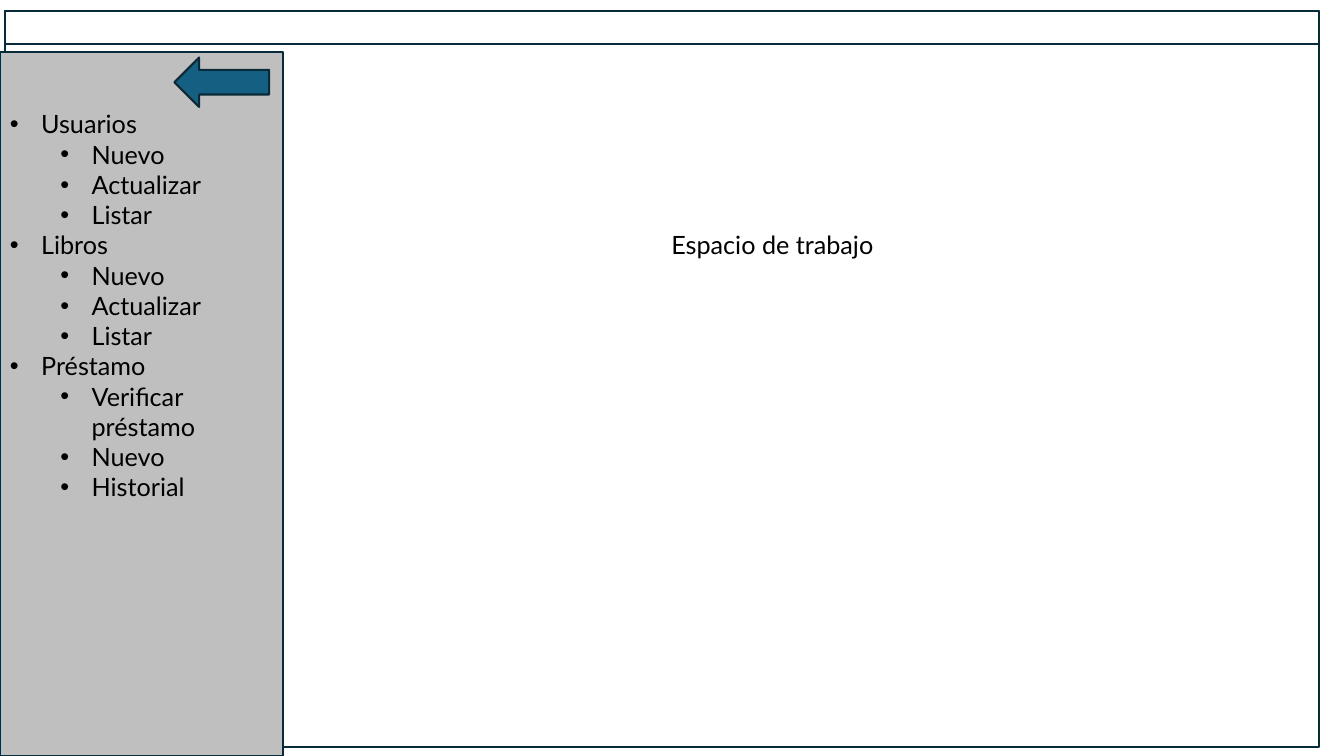
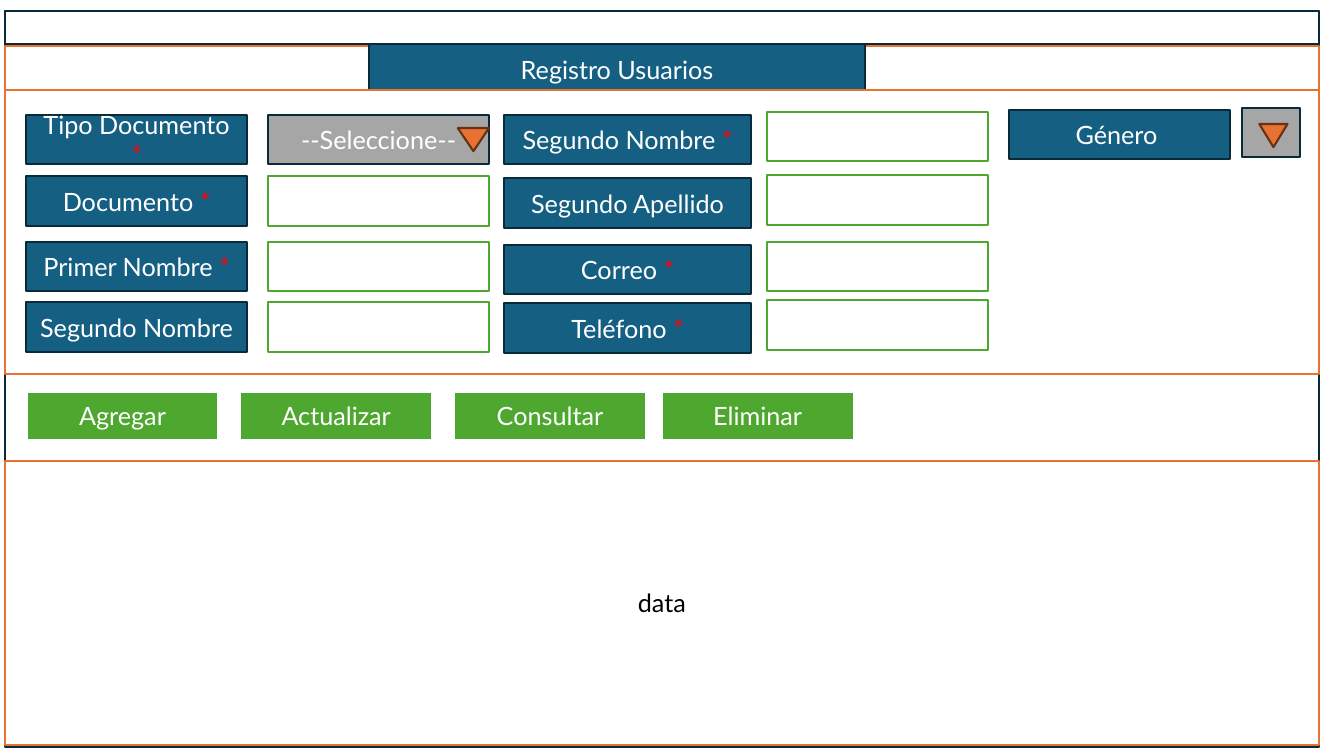
from lxml import etree
from pptx import Presentation
from pptx.dml.color import RGBColor
from pptx.enum.shapes import MSO_SHAPE as Preset
from pptx.enum.text import MSO_ANCHOR as Anchor, PP_ALIGN as Align
from pptx.oxml.ns import qn
from pptx.util import Inches, Pt

WHITE = RGBColor(0xFF, 0xFF, 0xFF)
BLACK = RGBColor(0x00, 0x00, 0x00)
RED = RGBColor(0xFF, 0x00, 0x00)
NAVY = RGBColor(0x09, 0x2A, 0x39)
BLUE = RGBColor(0x15, 0x60, 0x82)
GREEN = RGBColor(0x4E, 0xA7, 0x2E)
ORANGE = RGBColor(0xE9, 0x71, 0x32)
BROWN = RGBColor(0x66, 0x32, 0x16)
PANEL_GREY = RGBColor(0xBF, 0xBF, 0xBF)
LIST_GREY = RGBColor(0xA6, 0xA6, 0xA6)

FONT, TEXT_SIZE = "Lato", 18
LEFT, WIDTH = 0.05, 13.03
MARGIN, ROW_HEIGHT, FIELD_WIDTH = 0.26, 0.49, 2.19

MENU = {
    "Usuarios": ["Nuevo", "Actualizar", "Listar"],
    "Libros": ["Nuevo", "Actualizar", "Listar"],
    "Préstamo": ["Verificar préstamo", "Nuevo", "Historial"],
}


class Mockup:
    """Draws the screens of the library application."""

    def __init__(self):
        self.deck = Presentation()
        self.deck.slide_width = Inches(13.33)
        self.deck.slide_height = Inches(7.5)
        self.slide = None

    def screen(self):
        """Start a slide with the window frame and its title bar."""
        self.slide = self.deck.slides.add_slide(self.deck.slide_layouts[6])
        for height in (7.3, 0.33):
            self.box(LEFT, 0.11, WIDTH, height)

    def add_text(self, paragraph, text, color):
        run = paragraph.add_run()
        run.text = text
        run.font.name = FONT
        run.font.size = Pt(TEXT_SIZE)
        run.font.color.rgb = color

    def box(self, x, y, width, height, fill=None, line=NAVY, text="", color=WHITE,
            required=False, preset=Preset.RECTANGLE, line_width=1.5):
        shape = self.slide.shapes.add_shape(
            preset, Inches(x), Inches(y), Inches(width), Inches(height))
        shape.shadow.inherit = False
        if fill is None:
            shape.fill.background()
        else:
            shape.fill.solid()
            shape.fill.fore_color.rgb = fill
        shape.line.color.rgb = line
        shape.line.width = Pt(line_width)
        if text:
            shape.text_frame.vertical_anchor = Anchor.MIDDLE
            paragraph = shape.text_frame.paragraphs[0]
            paragraph.alignment = Align.CENTER
            self.add_text(paragraph, text, color)
            if required:
                self.add_text(paragraph, "*", RED)
        return shape

    def label(self, x, y, width, text, required=False):
        self.box(x, y, width, ROW_HEIGHT, BLUE, text=text, required=required)

    def entry(self, x, y):
        self.box(x, y, FIELD_WIDTH, ROW_HEIGHT, WHITE, GREEN)

    def dropdown(self, x, y, width, arrow_x, arrow_y, arrow_width, text=""):
        self.box(x, y, width, ROW_HEIGHT, LIST_GREY, text=text)
        arrow = self.box(arrow_x, arrow_y, arrow_width, 0.23, ORANGE, BROWN,
                         preset=Preset.ISOSCELES_TRIANGLE)
        arrow.rotation = 180

    def button(self, x, y, text):
        self.box(x, y, 1.91, ROW_HEIGHT, GREEN, WHITE, text, line_width=2)

    def section(self, y, height, text=""):
        self.box(LEFT, y, WIDTH, height, WHITE, ORANGE, text, BLACK)

    def text_frame(self, x, y, width, height, wrap):
        area = self.slide.shapes.add_textbox(
            Inches(x), Inches(y), Inches(width), Inches(height))
        area.text_frame.word_wrap = wrap
        return area.text_frame

    def caption(self, x, y, width, height, text):
        frame = self.text_frame(x, y, width, height, False)
        self.add_text(frame.paragraphs[0], text, BLACK)

    def menu(self, x, y, width, height, groups):
        frame = self.text_frame(x, y, width, height, True)
        items = [(level, text) for group, options in groups.items()
                 for level, text in [(0, group)] + [(1, option) for option in options]]
        for index, (level, text) in enumerate(items):
            paragraph = frame.add_paragraph() if index else frame.paragraphs[0]
            paragraph.level = level
            self.bullet(paragraph, 0.31 + 0.5 * level)
            self.add_text(paragraph, text, BLACK)

    @staticmethod
    def bullet(paragraph, indent):
        properties = paragraph._p.get_or_add_pPr()
        properties.set("marL", str(Inches(indent)))
        properties.set("indent", str(Inches(-0.31)))
        etree.SubElement(properties, qn("a:buFont")).set("typeface", "Arial")
        etree.SubElement(properties, qn("a:buChar")).set("char", "•")


def workspace_screen(mockup):
    mockup.screen()
    mockup.box(0, 0.52, 2.81, 6.98, PANEL_GREY)
    mockup.menu(0, 1.03, 2.38, 4.04, MENU)
    mockup.box(1.73, 0.57, 0.94, ROW_HEIGHT, BLUE, preset=Preset.LEFT_ARROW)
    mockup.caption(6.56, 2.23, 2.22, 0.4, "Espacio de trabajo")


def user_form_screen(mockup):
    mockup.screen()
    mockup.section(0.46, 0.45)
    mockup.label(3.66, 0.44, 4.92, "Registro Usuarios")
    mockup.section(0.89, 2.82)

    mockup.label(MARGIN, 1.14, FIELD_WIDTH, "Tipo Documento ", True)
    mockup.dropdown(2.66, 1.14, FIELD_WIDTH, 4.54, 1.27, 0.31, "--Seleccione--")
    for y, text, required in [(1.75, "Documento ", True),
                              (2.4, "Primer Nombre ", True),
                              (3, "Segundo Nombre", False)]:
        mockup.label(MARGIN, y, FIELD_WIDTH, text, required)
        mockup.entry(2.66, y)

    for y, text, required in [(1.14, "Segundo Nombre ", True),
                              (1.77, "Segundo Apellido", False),
                              (2.43, "Correo ", True),
                              (3.01, "Teléfono ", True)]:
        mockup.label(5, y, 2.45, text, required)
        mockup.entry(7.61, y - 0.03)

    mockup.label(10.01, 1.09, FIELD_WIDTH, "Género ")
    mockup.dropdown(12.32, 1.07, 0.57, 12.49, 1.23, 0.28)

    for x, text in [(MARGIN, "Agregar"), (2.38, "Actualizar"),
                    (4.5, "Consultar"), (6.56, "Eliminar")]:
        mockup.button(x, 3.88, text)
    mockup.section(4.57, 2.82, "data")


def main():
    mockup = Mockup()
    workspace_screen(mockup)
    user_form_screen(mockup)
    mockup.deck.save("out.pptx")


if __name__ == "__main__":
    main()
